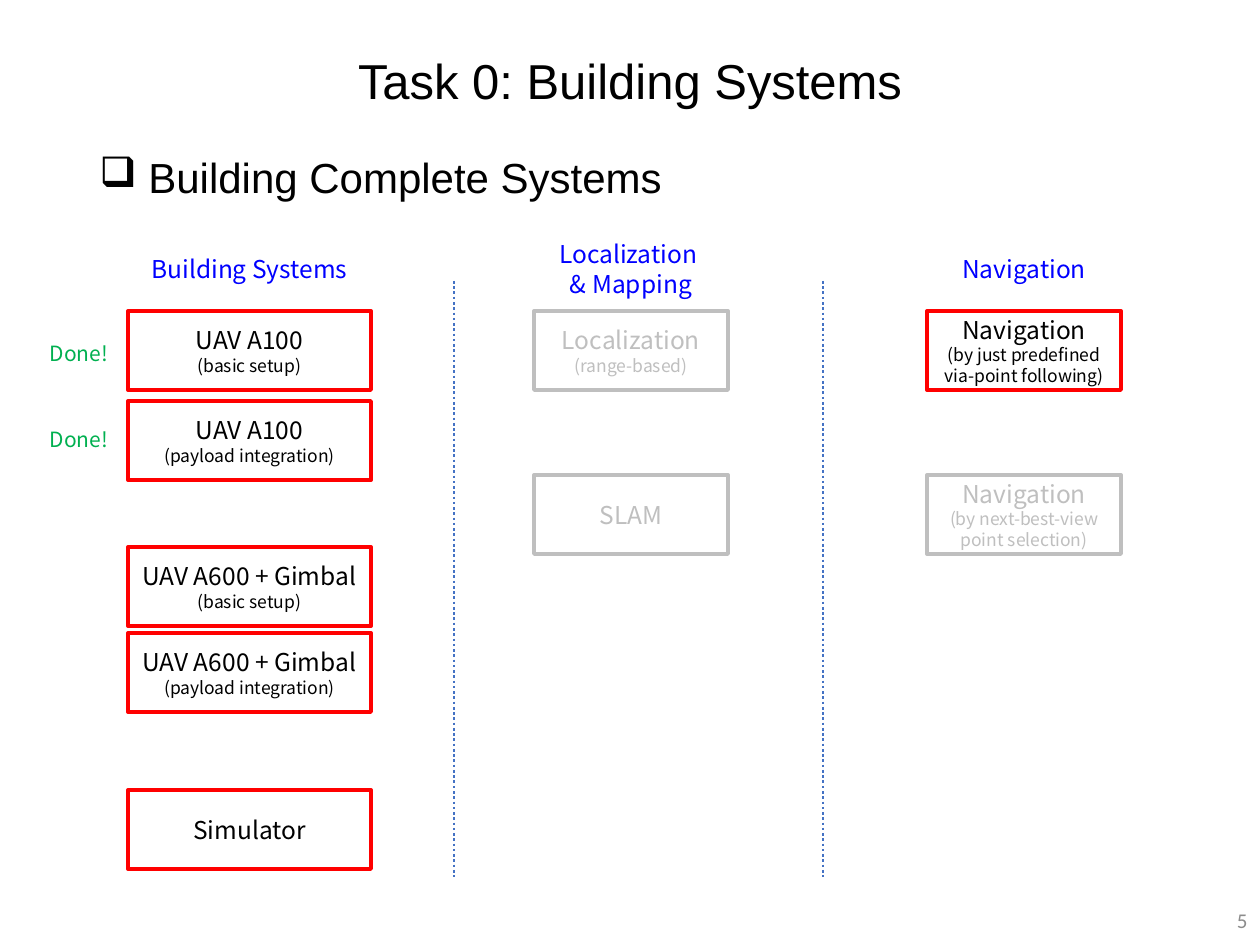
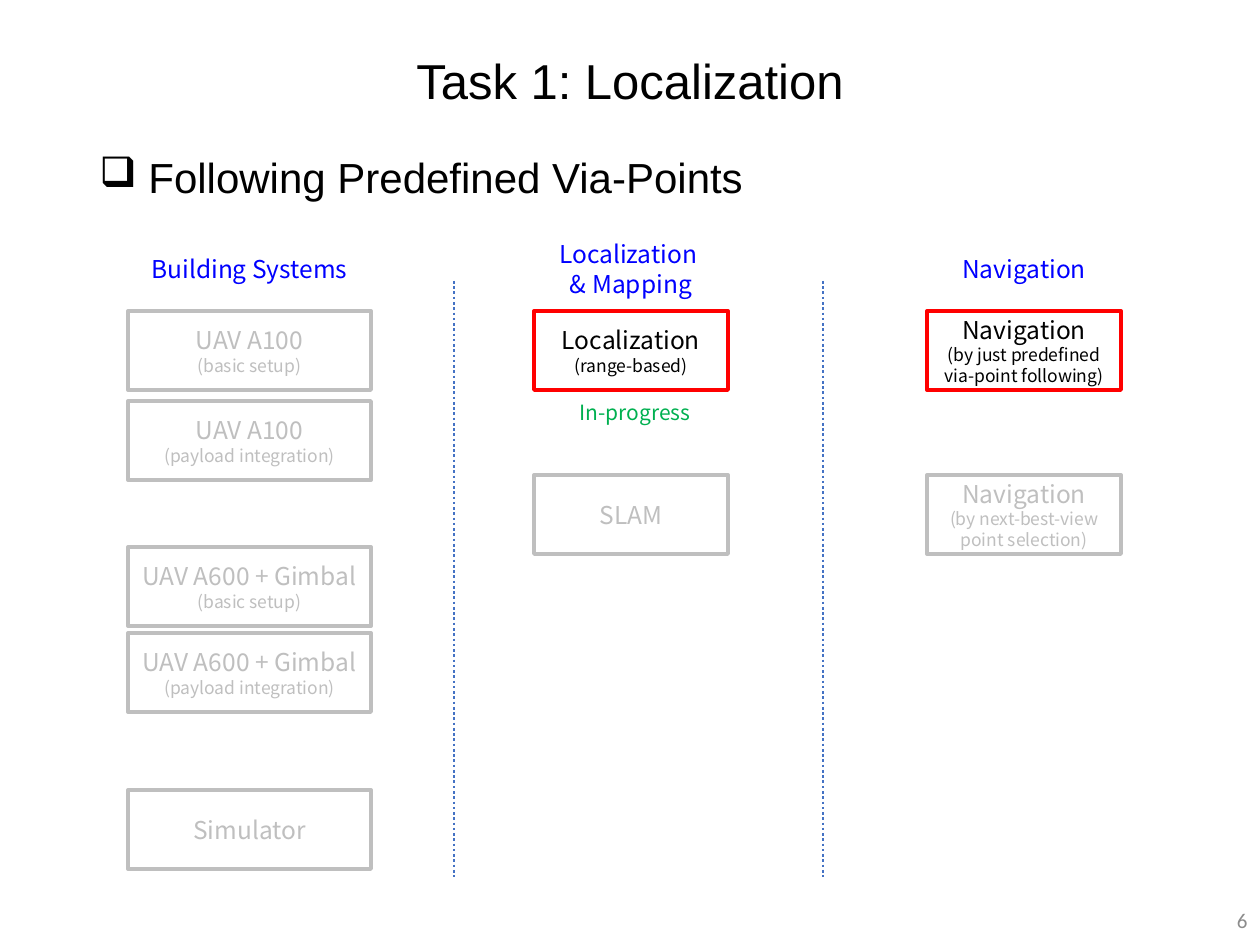
from lxml import etree
from pptx import Presentation
from pptx.dml.color import RGBColor
from pptx.enum.dml import MSO_LINE
from pptx.enum.shapes import MSO_CONNECTOR, MSO_SHAPE
from pptx.enum.text import MSO_ANCHOR, PP_ALIGN
from pptx.oxml.ns import qn
from pptx.util import Pt

RECT = MSO_SHAPE.RECTANGLE
STRAIGHT = MSO_CONNECTOR.STRAIGHT
DOTTED = MSO_LINE.ROUND_DOT  # sysDot
TOP, MIDDLE = MSO_ANCHOR.TOP, MSO_ANCHOR.MIDDLE
LEFT, CENTER, RIGHT = PP_ALIGN.LEFT, PP_ALIGN.CENTER, PP_ALIGN.RIGHT

EMU_PER_PX = 914400 / 126
COLORS = {
    "text": "000000", "active": "FF0000", "muted": "BFBFBF",
    "header": "0000FF", "status": "00B050", "divider": "4472C4",
    "number": "8C8C8C",
}
HEAD_FONT, BOX_FONT, NUMBER_FONT = "Arial", "Noto Sans CJK SC", "Calibri"

# Three columns: header, left, width and boxes as (key, top, name, detail)
HEADER_TOP, HEADER_H, BOX_H = 241, 55, 79
ROW_1, ROW_2 = 311, 475
COLUMNS = [
    ("Building Systems", 128, 243, [
        ("basic", ROW_1, "UAV A100", "(basic setup)"),
        ("payload", 401, "UAV A100", "(payload integration)"),
        ("gimbal basic", 547, "UAV A600 + Gimbal", "(basic setup)"),
        ("gimbal payload", 633, "UAV A600 + Gimbal", "(payload integration)"),
        ("simulator", 790, "Simulator", None),
    ]),
    ("Localization \n& Mapping", 534, 194, [
        ("localization", ROW_1, "Localization", "(range-based)"),
        ("slam", ROW_2, "SLAM", None),
    ]),
    ("Navigation", 927, 194, [
        ("via-points", ROW_1, "Navigation",
         "(by just predefined\nvia-point following)"),
        ("next-best-view", ROW_2, "Navigation",
         "(by next-best-view point selection)"),
    ]),
]
DIVIDERS, DIVIDER_TOP, DIVIDER_BOTTOM = (454, 823), 281, 877

# Each task: page number, headings, highlighted boxes, status notes
TASKS = [
    {
        "number": 5,
        "title": "Task 0: Building Systems",
        "goal": "Building Complete Systems",
        "active": {"basic", "payload", "gimbal basic", "gimbal payload",
                   "simulator", "via-points"},
        "notes": [("Done!", 30, 329, 98), ("Done!", 30, 415, 98)],
    },
    {
        "number": 6,
        "title": "Task 1: Localization",
        "goal": "Following Predefined Via-Points",
        "active": {"localization", "via-points"},
        "notes": [("In-progress", 557, 388, 156)],
    },
]


def px(n):
    return round(n * EMU_PER_PX)


def rgb(name):
    return RGBColor.from_string(COLORS[name])


def write(p, text, size, color, font, align=CENTER):
    p.text = text
    p.alignment = align
    for r in p.runs:
        r.font.size = Pt(size)
        r.font.name = font
        r.font.color.rgb = rgb(color)


def add_text(s, text, left, top, width, height, size, color,
             font=BOX_FONT, align=CENTER, anchor=MIDDLE):
    sp = s.shapes.add_textbox(px(left), px(top), px(width), px(height))
    tf = sp.text_frame
    tf.word_wrap = True
    tf.vertical_anchor = anchor
    p = tf.paragraphs[0]
    write(p, text, size, color, font, align)
    return p


def add_title(s, text):
    p = add_text(s, text, 87, 50, 1086, 68, 28, "text", HEAD_FONT)
    p.line_spacing = 0.9


def add_goal(s, text):
    p = add_text(s, " " + text, 87, 151, 1086, 74, 24, "text", HEAD_FONT,
                 LEFT, TOP)
    p.line_spacing = 0.9
    p.space_before = Pt(10)
    # Hanging square bullet
    pPr = p._p.get_or_add_pPr()
    pPr.set("marL", str(Pt(18)))
    pPr.set("indent", str(-Pt(18)))
    etree.SubElement(pPr, qn("a:buChar")).set("char", "❑")


def add_box(s, left, top, width, name, detail, active):
    sp = s.shapes.add_shape(RECT, px(left), px(top), px(width), px(BOX_H))
    sp.shadow.inherit = False
    sp.fill.background()
    sp.line.color.rgb = rgb("active" if active else "muted")
    sp.line.width = Pt(2.25)
    tf = sp.text_frame
    tf.word_wrap = True
    tf.vertical_anchor = MIDDLE
    color = "text" if active else "muted"
    write(tf.paragraphs[0], name, 14, color, BOX_FONT)
    if detail:
        write(tf.add_paragraph(), detail, 10, color, BOX_FONT)


def add_divider(s, x):
    line = s.shapes.add_connector(STRAIGHT, px(x), px(DIVIDER_TOP),
                                  px(x), px(DIVIDER_BOTTOM))
    line.line.color.rgb = rgb("divider")
    line.line.width = Pt(1.5)
    line.line.dash_style = DOTTED
    etree.SubElement(line._element.spPr, qn("a:effectLst"))


def add_task_slide(prs, task):
    s = prs.slides.add_slide(prs.slide_layouts[6])
    add_title(s, task["title"])
    add_text(s, str(task["number"]), 976, 895, 284, 50, 12, "number",
             NUMBER_FONT, RIGHT)

    # Task boxes under their column headers
    for header, left, width, boxes in COLUMNS:
        for key, top, name, detail in boxes:
            add_box(s, left, top, width, name, detail, key in task["active"])
        add_text(s, header, left, HEADER_TOP, width, HEADER_H, 14, "header")
    for x in DIVIDERS:
        add_divider(s, x)

    # Goal line and progress notes
    add_goal(s, task["goal"])
    for text, left, top, width in task["notes"]:
        add_text(s, text, left, top, width, 49, 12, "status")


def main():
    prs = Presentation()
    prs.slide_width, prs.slide_height = px(1260), px(945)
    for task in TASKS:
        add_task_slide(prs, task)
    prs.save("out.pptx")


main()
